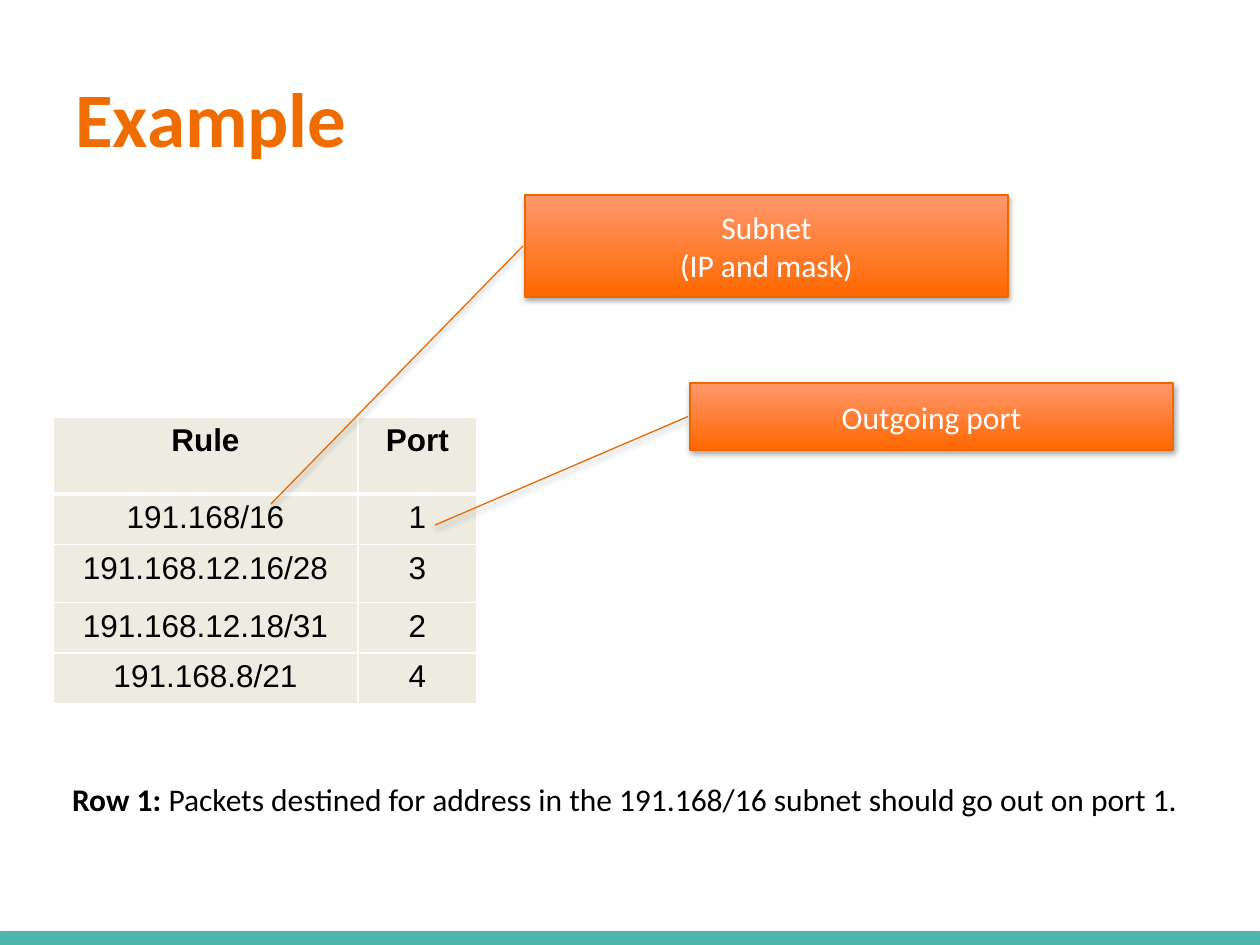
from dataclasses import dataclass
from typing import Any

from lxml import etree
from pptx import Presentation
from pptx import util as u
from pptx.dml.color import RGBColor
from pptx.enum import shapes, text
from pptx.oxml import ns

SCALE = 914400 / 126  # EMU per px
HUES = {
    "title": "EF6C00", "edge": "EE6800", "low": "FF6800", "high": "FF976D",
    "bar": "4DB6AC", "cell": "EEECE1", "white": "FFFFFF", "black": "000000",
}
BODY = {"name": "Calibri", "size": u.Pt(18), "bold": False}
BOLD = BODY | {"bold": True}
HEAD = BOLD | {"size": u.Pt(44)}
GRID = BODY | {"name": "Arial"}
FRAME = {"word_wrap": True, "vertical_anchor": text.MSO_ANCHOR.MIDDLE}


@dataclass
class Box:
    x: int
    y: int
    w: int
    h: int

    def emu(self) -> list[int]:
        return [px(v) for v in (self.x, self.y, self.w, self.h)]


@dataclass
class Note:
    box: Box
    lines: list[str]
    tip: tuple[int, int]  # where the leader line ends


NOTES = [
    Note(Box(525, 195, 483, 102), ["Subnet", "(IP and mask)"], (271, 504)),
    Note(Box(690, 383, 483, 67), ["Outgoing port"], (435, 525)),
]
RULES = [
    ("Rule", "Port"),
    ("191.168/16", "1"),
    ("191.168.12.16/28", "3"),
    ("191.168.12.18/31", "2"),
    ("191.168.8/21", "4"),
]
COLS = [305, 119]
ROWS = [77, 48, 58, 47, 47]


def px(v: float) -> int:
    return round(v * SCALE)


def rgb(hue: str) -> RGBColor:
    return RGBColor.from_string(HUES[hue])


def apply(obj: Any, form: dict[str, Any]) -> None:
    for key, val in form.items():
        setattr(obj, key, val)


def write(para: Any, words: str, form: dict[str, Any], hue: str,
          align: Any = text.PP_ALIGN.CENTER) -> None:
    para.alignment = align
    run = para.add_run()
    run.text = words
    apply(run.font, form)
    run.font.color.rgb = rgb(hue)


def shade(shape: Any, alpha: int, dist: int) -> None:
    """Drop a soft black shadow straight down."""
    group = etree.SubElement(shape.element.spPr, ns.qn("a:effectLst"))
    drop = etree.SubElement(group, ns.qn("a:outerShdw"), blurRad="40000",
                            dist=str(dist), dir="5400000", rotWithShape="0")
    tint = etree.SubElement(drop, ns.qn("a:srgbClr"), val=HUES["black"])
    etree.SubElement(tint, ns.qn("a:alpha"), val=str(alpha * 1000))


def rim(cell: Any, widths: dict[str, int]) -> None:
    """Give a cell white borders, widths in points by side."""
    props = cell._tc.get_or_add_tcPr()
    for i, (side, width) in enumerate(widths.items()):
        line = etree.Element(ns.qn(f"a:ln{side}"), w=str(u.Pt(width)))
        fill = etree.SubElement(line, ns.qn("a:solidFill"))
        etree.SubElement(fill, ns.qn("a:srgbClr"), val=HUES["white"])
        props.insert(i, line)


def add_bar(slide: Any, y: int, wide: int) -> None:
    bar = slide.shapes.add_connector(
        shapes.MSO_CONNECTOR.STRAIGHT, 0, px(y), px(wide), px(y))
    bar.line.color.rgb = rgb("bar")
    bar.line.width = u.Pt(10)
    shade(bar, 38, 20000)


def add_text(slide: Any, box: Box) -> Any:
    frame = slide.shapes.add_textbox(*box.emu()).text_frame
    frame.word_wrap = True
    return frame


def add_rules(slide: Any, x: int, y: int) -> None:
    box = Box(x, y, sum(COLS), sum(ROWS))
    table = slide.shapes.add_table(len(ROWS), len(COLS), *box.emu()).table
    apply(table, {"first_row": False, "horz_banding": False})
    for col, wide in zip(table.columns, COLS):
        col.width = px(wide)
    for r, (row, high, words) in enumerate(zip(table.rows, ROWS, RULES)):
        row.height = px(high)
        for cell, word in zip(row.cells, words):
            cell.fill.solid()
            cell.fill.fore_color.rgb = rgb("cell")
            rim(cell, {"L": 1, "R": 1, "T": 3 if r == 1 else 1,
                       "B": 3 if r == 0 else 1})
            write(cell.text_frame.paragraphs[0], word,
                  GRID | {"bold": r == 0}, "black")


def add_note(slide: Any, note: Note) -> None:
    box = note.box
    shape = slide.shapes.add_shape(
        shapes.MSO_SHAPE.LINE_CALLOUT_1, *box.emu())
    # Leader: from just left of the box's middle to the tip
    spots = [0.5, -2 / box.w, (note.tip[1] - box.y) / box.h,
             (note.tip[0] - box.x) / box.w]
    for i, spot in enumerate(spots):
        shape.adjustments[i] = spot
    shape.fill.gradient()
    shape.fill.gradient_angle = 90
    for stop, hue in zip(shape.fill.gradient_stops, ("low", "high")):
        stop.color.rgb = rgb(hue)
    shape.line.color.rgb = rgb("edge")
    shape.line.width = u.Pt(0.75)
    shade(shape, 35, 23000)
    frame = shape.text_frame
    apply(frame, FRAME)
    for i, line in enumerate(note.lines):
        para = frame.add_paragraph() if i else frame.paragraphs[0]
        write(para, line, BODY, "white")


def main() -> None:
    deck = Presentation()
    apply(deck, {"slide_width": px(1260), "slide_height": px(945)})
    slide = deck.slides.add_slide(deck.slide_layouts[6])

    # Footer bar and title
    add_bar(slide, 940, 1260)
    title = add_text(slide, Box(63, 38, 1134, 157))
    apply(title, FRAME)
    write(title.paragraphs[0], "Example", HEAD, "title", text.PP_ALIGN.LEFT)

    # Forwarding table and its callouts
    add_rules(slide, 53, 417)
    for note in NOTES:
        add_note(slide, note)

    # Explanation of the first row
    para = add_text(slide, Box(53, 774, 1144, 50)).paragraphs[0]
    write(para, "Row 1: ", BOLD, "black")
    write(para, "Packets destined for address in the 191.168/16 subnet "
          "should go out on port 1.", BODY, "black")

    deck.save("out.pptx")


if __name__ == "__main__":
    main()
